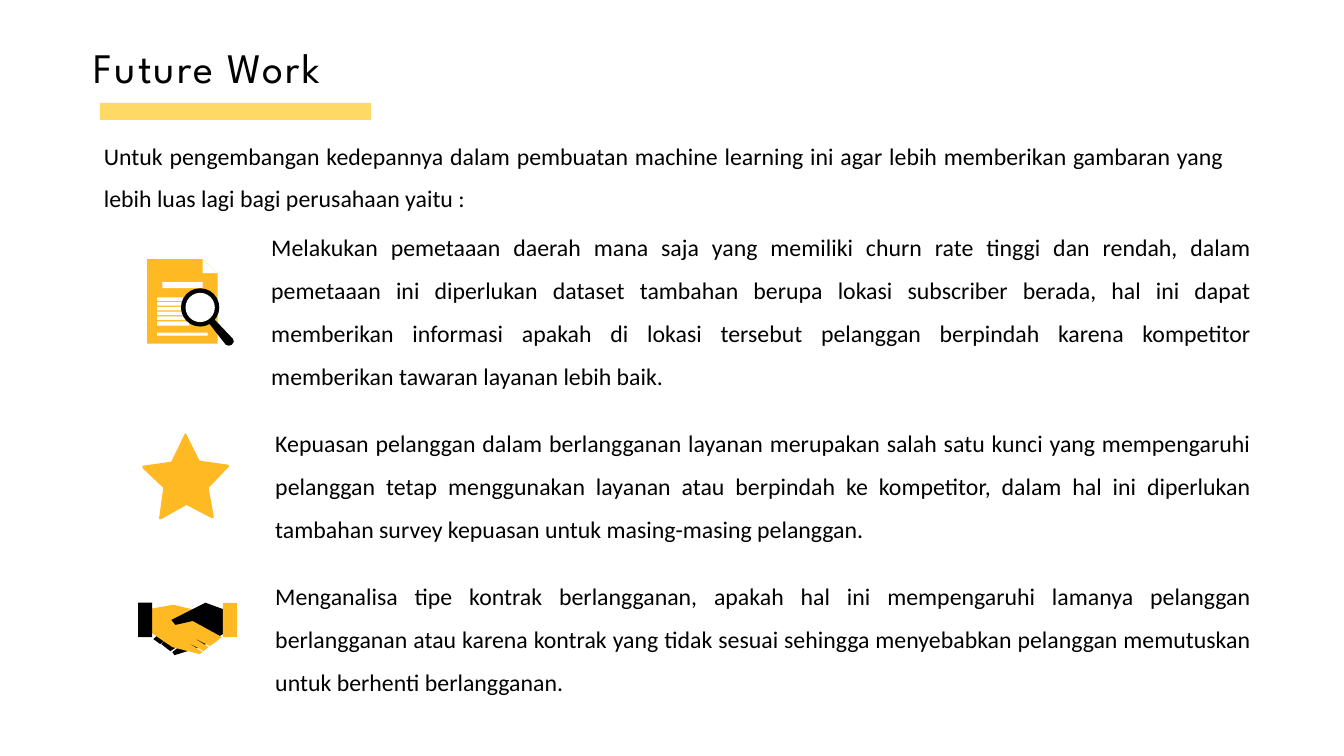
"""Build the Future Work slide with three icon-led recommendations."""
from pptx import Presentation
from pptx.dml.color import RGBColor
from pptx.enum.shapes import MSO_SHAPE
from pptx.enum.text import MSO_ANCHOR, PP_ALIGN
from pptx.util import Inches, Pt

RECTANGLE, OVAL = MSO_SHAPE.RECTANGLE, MSO_SHAPE.OVAL
LEFT, JUSTIFY = PP_ALIGN.LEFT, PP_ALIGN.JUSTIFY
MIDDLE = MSO_ANCHOR.MIDDLE
BLACK, WHITE, AMBER, PALE = "000000", "FFFFFF", "FFB923", "FFD966"


def paint(target, colour):
    target.fill.solid()
    target.fill.fore_color.rgb = RGBColor.from_string(colour)


def outline(shapes, contours, colour):
    points = [[(Inches(x), Inches(y)) for x, y in contour] for contour in contours]
    builder = shapes.build_freeform(*points[0][0])
    builder.add_line_segments(points[0][1:])
    for contour in points[1:]:
        builder.move_to(*contour[0])
        builder.add_line_segments(contour[1:])
    shape = builder.convert_to_shape()
    paint(shape, colour)
    return shape


deck = Presentation()
deck.slide_width, deck.slide_height = Inches(13.33), Inches(7.5)
page = deck.slides.add_slide(deck.slide_layouts[5])

title = page.shapes.title
title.left, title.top = Inches(0.93), Inches(0.4)
title.width, title.height = Inches(7.69), Inches(0.51)
frame = title.text_frame
frame.margin_left = frame.margin_right = frame.margin_bottom = 0
frame.margin_top = Inches(0.01)
frame.vertical_anchor = MIDDLE
para = frame.paragraphs[0]
para.alignment = LEFT
para.space_before = Pt(0.7)
span = para.add_run()
span.text = "Future Work"
span.font.name, span.font.size = "League Spartan", Pt(30)
span._r.get_or_add_rPr().set("spc", "150")
paint(span.font, BLACK)

passages = [
    (1.03, 1.25, 11.11, 0.88,
     "Untuk pengembangan kedepannya dalam pembuatan machine learning ini agar "
     "lebih memberikan gambaran yang lebih luas lagi bagi perusahaan yaitu :"),
    (2.69, 2.16, 9.72, 1.68,
     "Melakukan pemetaaan daerah mana saja yang memiliki churn rate tinggi dan "
     "rendah, dalam pemetaaan ini diperlukan dataset tambahan berupa lokasi "
     "subscriber berada, hal ini dapat memberikan informasi apakah di lokasi "
     "tersebut pelanggan berpindah karena kompetitor memberikan tawaran layanan "
     "lebih baik."),
    (2.73, 4.1, 9.68, 1.3,
     "Kepuasan pelanggan dalam berlangganan layanan merupakan salah satu kunci "
     "yang mempengaruhi pelanggan tetap menggunakan layanan atau berpindah ke "
     "kompetitor, dalam hal ini diperlukan tambahan survey kepuasan untuk "
     "masing-masing pelanggan."),
    (2.73, 5.62, 9.68, 1.3,
     "Menganalisa tipe kontrak berlangganan, apakah hal ini mempengaruhi lamanya "
     "pelanggan berlangganan atau karena kontrak yang tidak sesuai sehingga "
     "menyebabkan pelanggan memutuskan untuk berhenti berlangganan."),
]
for left, top, width, height, wording in passages:
    box = page.shapes.add_textbox(*map(Inches, (left, top, width, height)))
    frame = box.text_frame
    frame.word_wrap = True
    frame.margin_left = frame.margin_right = frame.margin_bottom = 0
    frame.margin_top = Inches(0.01)
    para = frame.paragraphs[0]
    para.alignment, para.line_spacing = JUSTIFY, 1.5
    span = para.add_run()
    span.text = wording
    span.font.name, span.font.size = "Calibri", Pt(17)
    paint(span.font, BLACK)

underline = page.shapes.add_shape(
    RECTANGLE, Inches(0.99), Inches(1.02), Inches(2.69), Inches(0.17))
paint(underline, PALE)
artwork = [underline]

report = page.shapes.add_group_shape().shapes
sheet = [(1.46, 3.41), (1.46, 2.57), (2.01, 2.57), (2.16, 2.71), (2.16, 3.41)]
artwork.append(outline(report, [sheet], AMBER))
bars = [(1.61, 2.8, 2.01, 2.86), (1.56, 3.19, 1.88, 3.23), (1.56, 3.3, 2.06, 3.33)]
bars += [(1.56, 2.95 + 0.0475 * row, 2.06, 2.985 + 0.0475 * row) for row in range(5)]
fold = [(2.01, 2.57), (2.16, 2.71), (2.01, 2.71)]
stripes = [[(x1, y1), (x2, y1), (x2, y2), (x1, y2)] for x1, y1, x2, y2 in bars]
artwork.append(outline(report, stripes + [fold], WHITE))
handle = [(2.06, 3.19), (2.11, 3.15), (2.31, 3.36), (2.32, 3.39), (2.3, 3.42),
          (2.27, 3.43), (2.24, 3.42)]
artwork.append(outline(report, [handle], BLACK))
for diameter, colour in [(0.38, BLACK), (0.29, WHITE)]:
    lens = report.add_shape(OVAL, Inches(1.985 - diameter / 2),
                            Inches(3.05 - diameter / 2),
                            Inches(diameter), Inches(diameter))
    paint(lens, colour)
    artwork.append(lens)

star = [(1.83, 4.31), (1.84, 4.3), (1.85, 4.31), (1.98, 4.57), (2.26, 4.61),
        (2.27, 4.62), (2.27, 4.63), (2.07, 4.84), (2.12, 5.12), (2.12, 5.14),
        (2.1, 5.14), (1.85, 5.01), (1.6, 5.15), (1.58, 5.15), (1.58, 5.13),
        (1.62, 4.84), (1.42, 4.65), (1.41, 4.63), (1.42, 4.62), (1.7, 4.58)]
artwork.append(outline(page.shapes, [star], AMBER))

handshake = page.shapes.add_group_shape().shapes
knuckles = [(1.87, 6.14), (1.7, 6.09), (1.72, 6), (2.01, 6.07)]
dark_hand = [(1.73, 6.5), (1.71, 6.47), (1.83, 6.37), (1.69, 6.46), (1.65, 6.43),
             (1.75, 6.31), (1.65, 6.43), (1.6, 6.39), (1.71, 6.28), (1.59, 6.39),
             (1.52, 6.34), (1.77, 6.12), (2.04, 5.98), (2.23, 6.05), (2.23, 6.28),
             (1.99, 6.42)]
amber_hand = [(2.2, 6.32), (1.89, 6.15), (1.72, 6), (1.49, 6.04), (1.49, 6.27),
              (1.71, 6.42), (1.98, 6.49), (2.01, 6.47), (1.84, 6.36), (2.02, 6.46),
              (2.07, 6.42), (1.89, 6.31), (2.08, 6.41), (2.14, 6.37), (1.95, 6.26),
              (2.14, 6.37)]
thumb = [(2.09, 6.12), (2.04, 5.98), (1.7, 6.15), (1.74, 6.2)]
left_cuff, right_cuff = [
    [(x, 5.98), (x + 0.14, 5.98), (x + 0.14, 6.32), (x, 6.32)] for x in (1.37, 2.21)]
for contours, colour in [([knuckles], AMBER), ([dark_hand], BLACK),
                         ([amber_hand, right_cuff], AMBER),
                         ([left_cuff, thumb], BLACK)]:
    artwork.append(outline(handshake, contours, colour))

for shape in artwork:
    shape.line.fill.background()
    shape.shadow.inherit = False

deck.save("out.pptx")
